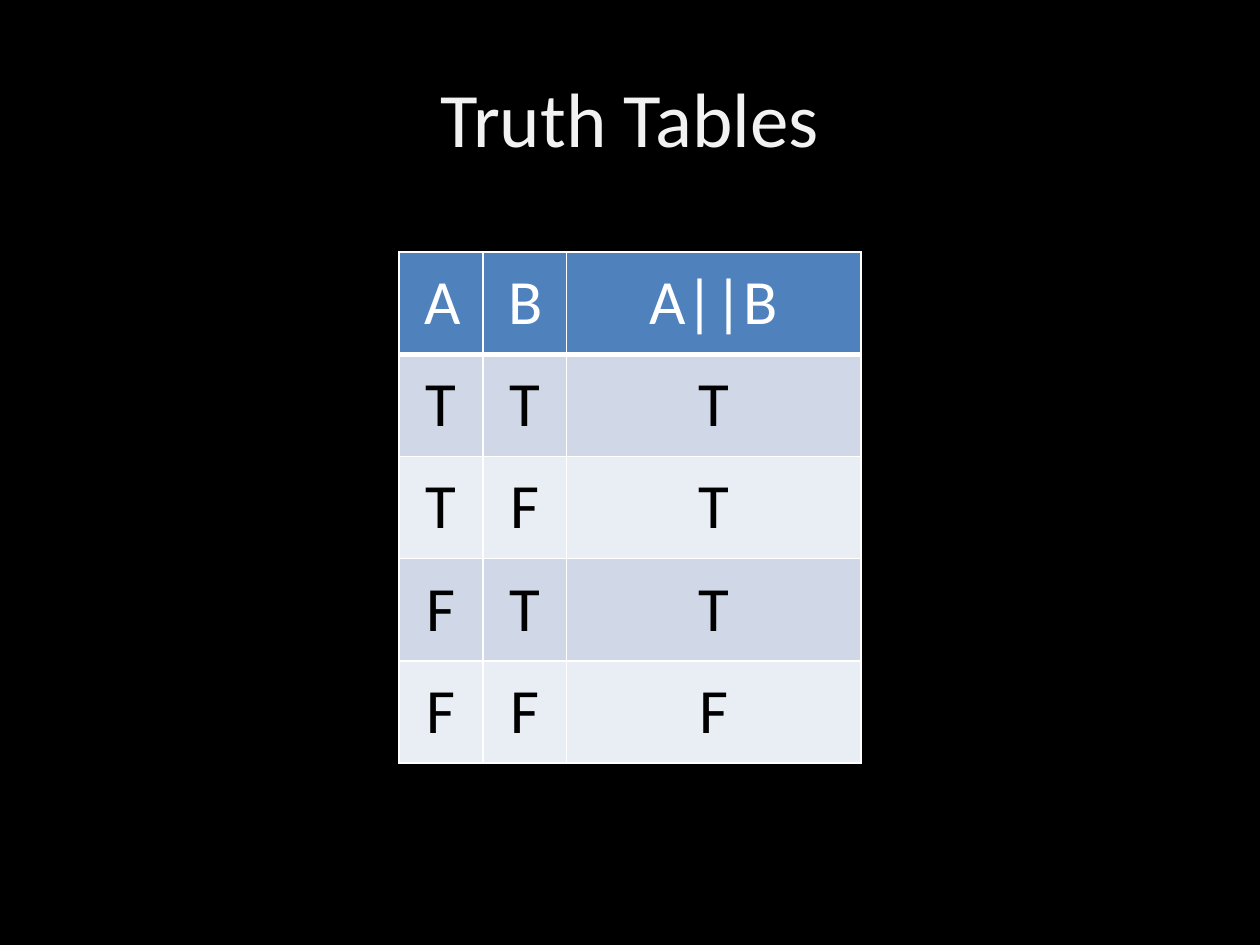
from lxml import etree
from pptx import Presentation
from pptx.dml.color import RGBColor
from pptx.enum.text import MSO_ANCHOR, PP_ALIGN
from pptx.oxml.ns import qn
from pptx.util import Cm, Pt

CENTER = PP_ALIGN.CENTER
MIDDLE = MSO_ANCHOR.MIDDLE
TOP = MSO_ANCHOR.TOP

TITLE = "Truth Tables"
ROWS = [
    ("A", "B", "A||B"),
    ("T", "T", "T"),
    ("T", "F", "T"),
    ("F", "T", "T"),
    ("F", "F", "F"),
]
COLUMN_WIDTHS = [1.69, 1.69, 5.93]
ROW_HEIGHT = 2.06
SLIDE_WIDTH, SLIDE_HEIGHT = 25.4, 19.05
HEADER_FILL = "4F81BD"
BAND_FILLS = ["D0D8E8", "E9EDF4"]
WHITE = "FFFFFF"


def color(value):
    return RGBColor.from_string(value)


def write_text(text_frame, text, size, text_color):
    paragraph = text_frame.paragraphs[0]
    paragraph.alignment = CENTER
    run = paragraph.add_run()
    run.text = text
    run.font.name = "Calibri"
    run.font.size = Pt(size)
    run.font.color.rgb = color(text_color)


def add_borders(cell, bottom_width):
    properties = cell._tc.get_or_add_tcPr()
    for side, width in (("L", 1), ("R", 1), ("T", 1), ("B", bottom_width)):
        line = etree.SubElement(properties, qn(f"a:ln{side}"), w=str(Pt(width)))
        fill = etree.SubElement(line, qn("a:solidFill"))
        etree.SubElement(fill, qn("a:srgbClr"), val=WHITE)


def add_title(slide):
    box = slide.shapes.add_textbox(Cm(1.27), Cm(0.76), Cm(22.86), Cm(3.18))
    box.text_frame.word_wrap = True
    box.text_frame.vertical_anchor = MIDDLE
    write_text(box.text_frame, TITLE, 44, "F2F2F2")


def add_truth_table(slide):
    width = sum(COLUMN_WIDTHS)
    table = slide.shapes.add_table(
        len(ROWS), len(COLUMN_WIDTHS),
        Cm((SLIDE_WIDTH - width) / 2), Cm(5.08),
        Cm(width), Cm(ROW_HEIGHT * len(ROWS)),
    ).table
    for column, column_width in zip(table.columns, COLUMN_WIDTHS):
        column.width = Cm(column_width)
    for row_index, values in enumerate(ROWS):
        table.rows[row_index].height = Cm(ROW_HEIGHT)
        is_header = row_index == 0
        fill = HEADER_FILL if is_header else BAND_FILLS[(row_index - 1) % 2]
        for column_index, value in enumerate(values):
            cell = table.cell(row_index, column_index)
            cell.margin_left = cell.margin_right = Cm(0.51)
            cell.margin_top = cell.margin_bottom = Cm(0.25)
            cell.vertical_anchor = TOP
            add_borders(cell, 3 if is_header else 1)
            cell.fill.solid()
            cell.fill.fore_color.rgb = color(fill)
            write_text(cell.text_frame, value, 36, WHITE if is_header else "000000")
            cell.text_frame.paragraphs[0].runs[0].font.bold = False


def main():
    presentation = Presentation()
    presentation.slide_width = Cm(SLIDE_WIDTH)
    presentation.slide_height = Cm(SLIDE_HEIGHT)
    slide = presentation.slides.add_slide(presentation.slide_layouts[6])
    slide.background.fill.solid()
    slide.background.fill.fore_color.rgb = color("000000")
    add_title(slide)
    add_truth_table(slide)
    presentation.save("out.pptx")


if __name__ == "__main__":
    main()
